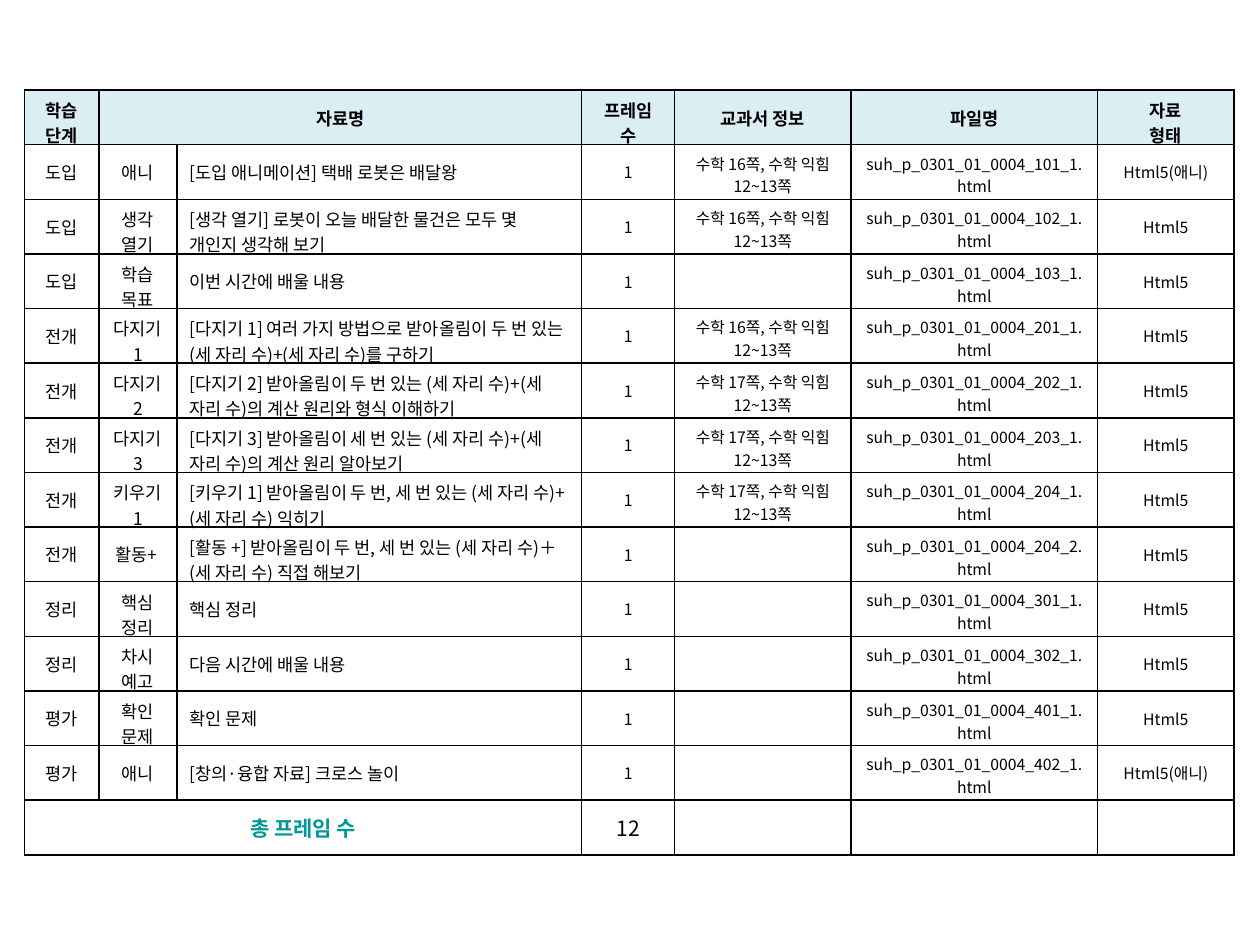
from lxml.etree import SubElement
from pptx import Presentation
from pptx.dml.color import RGBColor
from pptx.enum.text import MSO_ANCHOR as Anchor, PP_ALIGN as Align
from pptx.oxml.ns import qn
from pptx.util import Pt

BLACK = RGBColor(0x00, 0x00, 0x00)
TEAL = RGBColor(0x00, 0x99, 0x99)
PALE_BLUE = RGBColor(0xDB, 0xEE, 0xF4)
FONT = "Noto Sans CJK KR"

COLUMN_WIDTHS = [42.5, 44.6, 231.3, 53.2, 100.7, 141, 77.9]
ROW_HEIGHT = 31.22
COLUMN_SIZES = [10, 10, 10, 9, 9, 9, 9]
TITLE_COLUMN = 2
SIDE_MARGIN = 7.2
TOP_MARGIN = 3.6
LINE_FACTOR = 1.48

HEADINGS = ["학습 단계", "자료명", "", "프레임 수", "교과서 정보", "파일명", "자료\n형태"]

# Stage, part, material title, textbook page, file code, type
LESSONS = [
    ("도입", "애니", "[도입 애니메이션] 택배 로봇은 배달왕", 16, "101_1", "Html5(애니)"),
    ("도입", "생각 열기", "[생각 열기] 로봇이 오늘 배달한 물건은 모두 몇 개인지 생각해 보기",
     16, "102_1", "Html5"),
    ("도입", "학습 목표", "이번 시간에 배울 내용", None, "103_1", "Html5"),
    ("전개", "다지기 1",
     "[다지기 1] 여러 가지 방법으로 받아올림이 두 번 있는 (세 자리 수)+(세 자리 수)를 구하기",
     16, "201_1", "Html5"),
    ("전개", "다지기 2",
     "[다지기 2] 받아올림이 두 번 있는 (세 자리 수)+(세 자리 수)의 계산 원리와 형식 이해하기",
     17, "202_1", "Html5"),
    ("전개", "다지기3",
     "[다지기 3] 받아올림이 세 번 있는 (세 자리 수)+(세 자리 수)의 계산 원리 알아보기",
     17, "203_1", "Html5"),
    ("전개", "키우기 1",
     "[키우기 1] 받아올림이 두 번, 세 번 있는 (세 자리 수)+(세 자리 수) 익히기",
     17, "204_1", "Html5"),
    ("전개", "활동+ ",
     "[활동 +] 받아올림이 두 번, 세 번 있는 (세 자리 수)+(세 자리 수) 직접 해보기 "
     .replace(")+(", ")\uff0b("),
     None, "204_2", "Html5"),
    ("정리", "핵심 정리", "핵심 정리", None, "301_1", "Html5"),
    ("정리", "차시 예고", "다음 시간에 배울 내용", None, "302_1", "Html5"),
    ("평가", "확인 문제", "확인 문제", None, "401_1", "Html5"),
    ("평가", "애니", "[창의·융합 자료] 크로스 놀이", None, "402_1", "Html5(애니)"),
]


def set_borders(cell):
    """Draw a thin black line on all four sides; call before filling."""
    properties = cell._tc.get_or_add_tcPr()
    for side in ("lnL", "lnR", "lnT", "lnB"):
        line = SubElement(properties, qn(f"a:{side}"), w=str(Pt(1)))
        fill = SubElement(line, qn("a:solidFill"))
        SubElement(fill, qn("a:srgbClr"), val=str(BLACK))


def needs_two_lines(text, size, width):
    """Estimate the text width: Latin letters take 0.6 of a Hangul one."""
    units = sum(0.6 if letter.isascii() else 1 for letter in text)
    return "\n" in text or units * size * 0.92 > width - 2 * SIDE_MARGIN


def write_cell(cell, text, size, width, color=BLACK, bold=False, align=Align.CENTER):
    cell.vertical_anchor = Anchor.MIDDLE
    if needs_two_lines(text, size, width):
        # Let two lines reach the lower border so that the row keeps its height
        spare = ROW_HEIGHT - TOP_MARGIN - 2 * size * LINE_FACTOR
        cell.margin_top = Pt(TOP_MARGIN)
        cell.margin_bottom = Pt(spare - 0.3)
    frame = cell.text_frame
    for index, line in enumerate(text.split("\n")):
        paragraph = frame.add_paragraph() if index else frame.paragraphs[0]
        paragraph.alignment = align
        if not line:
            # Keep empty cells from stretching their row
            SubElement(paragraph._p, qn("a:endParaRPr"), sz=str(size * 100))
            continue
        run = paragraph.add_run()
        run.text = line
        run.font.size = Pt(size)
        run.font.bold = bold
        run.font.name = FONT
        run.font.color.rgb = color
        properties = run._r.get_or_add_rPr()
        properties.set("kern", "0")
        SubElement(properties, qn("a:ea"), typeface=FONT)


def add_grid(slide, row_count):
    frame = slide.shapes.add_table(
        row_count, len(COLUMN_WIDTHS), Pt(14), Pt(51.5),
        Pt(sum(COLUMN_WIDTHS)), Pt(ROW_HEIGHT * row_count))
    grid = frame.table
    grid.first_row = grid.horz_banding = False
    for column, width in zip(grid.columns, COLUMN_WIDTHS):
        column.width = Pt(width)
    for row in grid.rows:
        row.height = Pt(ROW_HEIGHT)
        for cell in row.cells:
            set_borders(cell)
            cell.fill.background()
    return grid


def fill_header(grid):
    grid.cell(0, 1).merge(grid.cell(0, 2))
    for column, (heading, width) in enumerate(zip(HEADINGS, COLUMN_WIDTHS)):
        cell = grid.cell(0, column)
        cell.fill.solid()
        cell.fill.fore_color.rgb = PALE_BLUE
        write_cell(cell, heading, 10, width, bold=True)


def fill_lessons(grid):
    for row, (stage, part, title, page, code, kind) in enumerate(LESSONS, 1):
        pages = f"수학 {page}쪽, 수학 익힘 12~13쪽" if page else ""
        file_name = f"suh_p_0301_01_0004_{code}.html"
        values = [stage, part, title, "1", pages, file_name, kind]
        columns = zip(values, COLUMN_SIZES, COLUMN_WIDTHS)
        for column, (value, size, width) in enumerate(columns):
            align = Align.LEFT if column == TITLE_COLUMN else Align.CENTER
            write_cell(grid.cell(row, column), value, size, width, align=align)


def fill_total(grid):
    row = len(LESSONS) + 1
    grid.cell(row, 0).merge(grid.cell(row, 2))
    label_width = sum(COLUMN_WIDTHS[:3])
    write_cell(grid.cell(row, 0), "총 프레임 수", 12, label_width, TEAL, bold=True)
    write_cell(grid.cell(row, 3), str(len(LESSONS)), 12, COLUMN_WIDTHS[3])
    for column in (4, 5, 6):
        write_cell(grid.cell(row, column), "", 9, COLUMN_WIDTHS[column])


def main():
    deck = Presentation()
    deck.slide_width, deck.slide_height = Pt(720), Pt(540)
    slide = deck.slides.add_slide(deck.slide_layouts[6])

    # Lesson material list with header and total rows
    grid = add_grid(slide, len(LESSONS) + 2)
    fill_header(grid)
    fill_lessons(grid)
    fill_total(grid)

    deck.save("out.pptx")


main()
